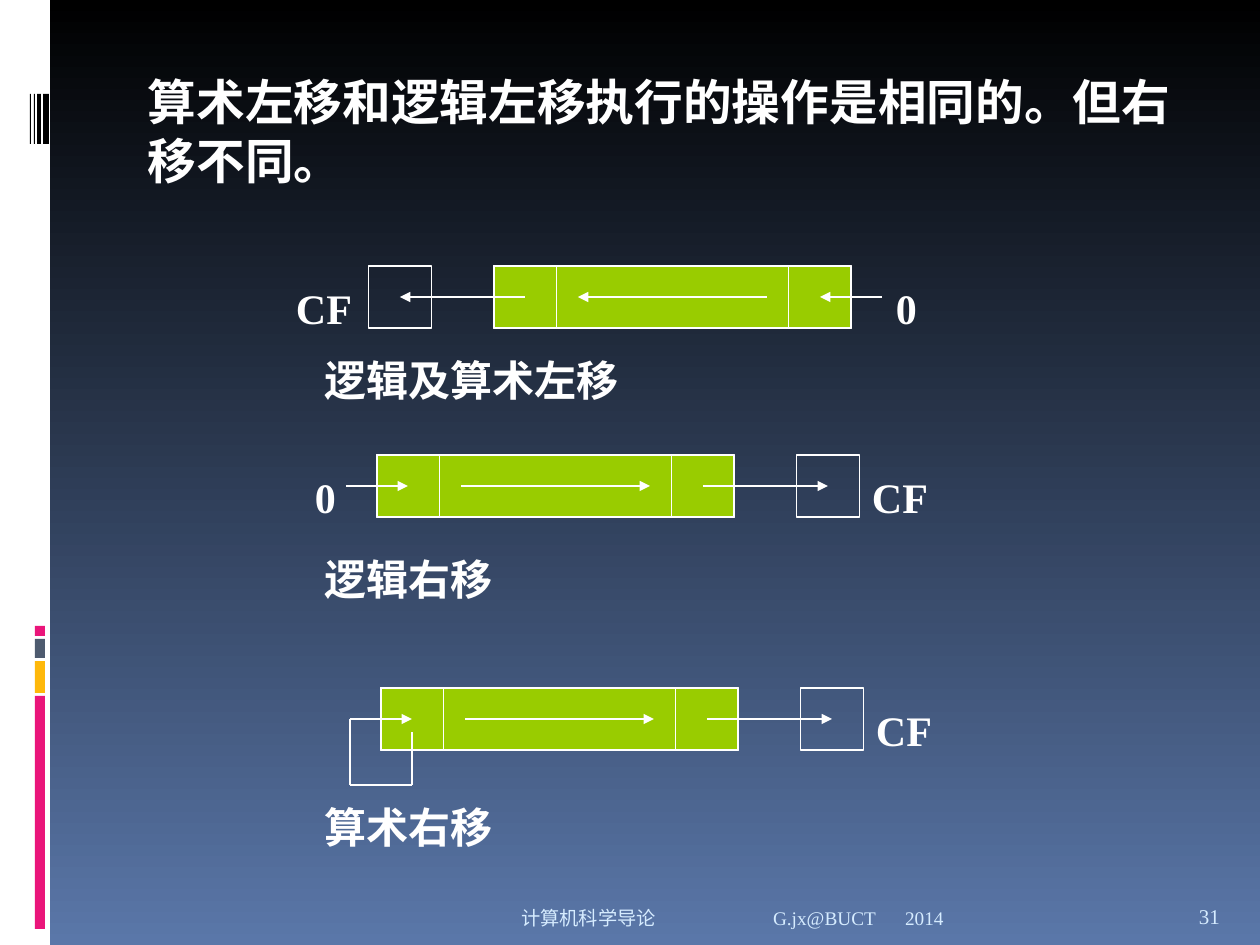
from dataclasses import dataclass

from lxml import etree
from pptx import Presentation
from pptx.dml.color import RGBColor
from pptx.enum.shapes import MSO_CONNECTOR, MSO_SHAPE
from pptx.enum.text import MSO_ANCHOR, MSO_AUTO_SIZE, PP_ALIGN
from pptx.oxml.ns import qn
from pptx.util import Emu, Pt

RECT = MSO_SHAPE.RECTANGLE
STRAIGHT = MSO_CONNECTOR.STRAIGHT
TOP, MIDDLE, BOTTOM = MSO_ANCHOR.TOP, MSO_ANCHOR.MIDDLE, MSO_ANCHOR.BOTTOM
LEFT = PP_ALIGN.LEFT
NO_AUTOFIT = MSO_AUTO_SIZE.NONE

PX_PER_INCH = 126
EMU_PER_PX = 914400 / PX_PER_INCH


@dataclass(frozen=True)
class Theme:
    white: str = "FFFFFF"
    black: str = "000000"
    sky: str = "5A77A9"
    register: str = "99CC00"
    pink: str = "EA157A"
    amber: str = "FEB80A"
    slate: str = "4E5B6F"
    footer: str = "D6ECFF"
    heading_font: str = "Calibri"
    text_font: str = "Times New Roman"
    heading_size: float = 27.8
    label_size: int = 24
    page_size: int = 12
    footer_size: int = 11
    line_width: int = 1


def px(length):
    return Emu(round(length * EMU_PER_PX))


def rgb(value):
    return RGBColor.from_string(value)


def write(shape, text, *, font, size, color, bold=False, anchor=TOP,
          margins=(13, 6), indent=0, tab=None):
    """Fill a shape with one formatted paragraph."""
    frame = shape.text_frame
    frame.word_wrap = True
    frame.auto_size = NO_AUTOFIT
    frame.vertical_anchor = anchor
    frame.margin_left = frame.margin_right = px(margins[0])
    frame.margin_top = frame.margin_bottom = px(margins[1])
    frame.text = text
    paragraph = frame.paragraphs[0]
    paragraph.alignment = LEFT
    properties = paragraph._p.get_or_add_pPr()
    if indent:
        properties.set("marL", str(px(indent)))
    if tab:
        stops = etree.SubElement(properties, qn("a:tabLst"))
        etree.SubElement(stops, qn("a:tab"), pos=str(px(tab)), algn="l")
    run_font = paragraph.runs[0].font
    run_font.name = font
    run_font.size = Pt(size)
    run_font.bold = bold
    run_font.color.rgb = rgb(color)


class ShiftSlide:
    CELL = 63
    BAR = 357
    BAR_HEIGHT = 62
    HALF = CELL // 2
    CARRY = BAR + CELL + HALF  # from the entry end to the centre of the carry flag

    def __init__(self, slide, theme):
        self.slide = slide
        self.theme = theme

    def background(self):
        fill = self.slide.background.fill
        fill.gradient()
        fill.gradient_angle = 270
        for stop, position, color in zip(fill.gradient_stops, (0, 1),
                                         (self.theme.black, self.theme.sky)):
            stop.position = position
            stop.color.rgb = rgb(color)

    def box(self, x, y, width, height, fill=None, outline=None):
        shape = self.slide.shapes.add_shape(RECT, px(x), px(y), px(width), px(height))
        shape.shadow.inherit = False
        if fill:
            shape.fill.solid()
            shape.fill.fore_color.rgb = rgb(fill)
        else:
            shape.fill.background()
        if outline:
            shape.line.color.rgb = rgb(outline)
            shape.line.width = Pt(self.theme.line_width)
        else:
            shape.line.fill.background()

    def line(self, start, end, arrow=False):
        connector = self.slide.shapes.add_connector(
            STRAIGHT, *(px(value) for value in (*start, *end)))
        connector.line.color.rgb = rgb(self.theme.white)
        connector.line.width = Pt(self.theme.line_width)
        if arrow:
            etree.SubElement(connector.line._get_or_add_ln(), qn("a:tailEnd"),
                             type="triangle")
        etree.SubElement(connector._element.spPr, qn("a:effectLst"))

    def text(self, x, y, width, height, text, **style):
        shape = self.slide.shapes.add_textbox(px(x), px(y), px(width), px(height))
        write(shape, text, **{"font": self.theme.text_font, **style})

    def label(self, x, y, width, text, **style):
        self.text(x, y, width, self.CELL, text, size=self.theme.label_size,
                  color=self.theme.white, bold=True, **style)

    def heading(self, text):
        title = self.slide.shapes.title
        title.left, title.top, title.width, title.height = map(px, (126, 66, 1071, 137))
        write(title, text, font=self.theme.heading_font, size=self.theme.heading_size,
              color=self.theme.white, bold=True, indent=9)

    def sidebar(self):
        theme = self.theme
        self.box(0, 0, 50, 945, theme.white)
        for y, height, color in ((696, 233, theme.pink), (661, 32, theme.amber),
                                 (639, 19, theme.slate), (626, 10, theme.pink)):
            self.box(35, y, 10, height, color)
        for x, width in ((43, 6), (37, 4), (34, 1), (30, 1)):
            self.box(x, 94, width, 50, theme.black)

    def footer(self):
        theme = self.theme
        for x, width, text, size, tab in (
                (508, 384, "计算机科学导论\tG.jx@BUCT", theme.footer_size, 252),
                (892, 294, "2014", theme.footer_size, None),
                (1186, 63, "31", theme.page_size, None)):
            self.text(x, 885, width, 50, text, size=size, color=theme.footer,
                      anchor=BOTTOM, tab=tab)

    def shift(self, entry, y, direction, labels, caption, caption_y, feedback=False):
        """Draw a register whose bits enter at x = entry; direction is 1 right, -1 left."""
        white = self.theme.white
        middle = y + self.BAR_HEIGHT / 2

        def along(distance):
            return entry + direction * distance

        self.box(min(entry, along(self.BAR)), y, self.BAR, self.BAR_HEIGHT,
                 self.theme.register, white)
        last = self.BAR - self.HALF
        for centre in (self.HALF, last, self.CARRY):
            self.box(along(centre) - self.CELL / 2, y, self.CELL, self.BAR_HEIGHT,
                     outline=white)
        for start, end in ((-self.HALF, self.HALF), (84, 273), (last, self.CARRY)):
            self.line((along(start), middle), (along(end), middle), arrow=True)
        if feedback:
            outside, inside = along(-self.HALF), along(self.HALF)
            corners = ((outside, middle), (outside, y + 97),
                       (inside, y + 97), (inside, y + 44))
            for start, end in zip(corners, corners[1:]):
                self.line(start, end)
        for x, text in labels:
            self.label(x, y + 10, self.CELL, text, anchor=MIDDLE, margins=(0, 0))
        self.label(312, caption_y, 645, caption)


def main():
    deck = Presentation()
    deck.slide_width, deck.slide_height = px(1260), px(945)
    page = ShiftSlide(deck.slides.add_slide(deck.slide_layouts[5]), Theme())
    page.background()
    page.sidebar()
    page.heading("算术左移和逻辑左移执行的操作是相同的。但右移不同。")
    page.footer()
    page.shift(851, 266, -1, ((296, "CF"), (896, "0")), "逻辑及算术左移", 349)
    page.shift(377, 455, 1, ((315, "0"), (872, "CF")), "逻辑右移", 548)
    page.shift(381, 688, 1, ((876, "CF"),), "算术右移", 796, feedback=True)
    deck.save("out.pptx")


if __name__ == "__main__":
    main()
